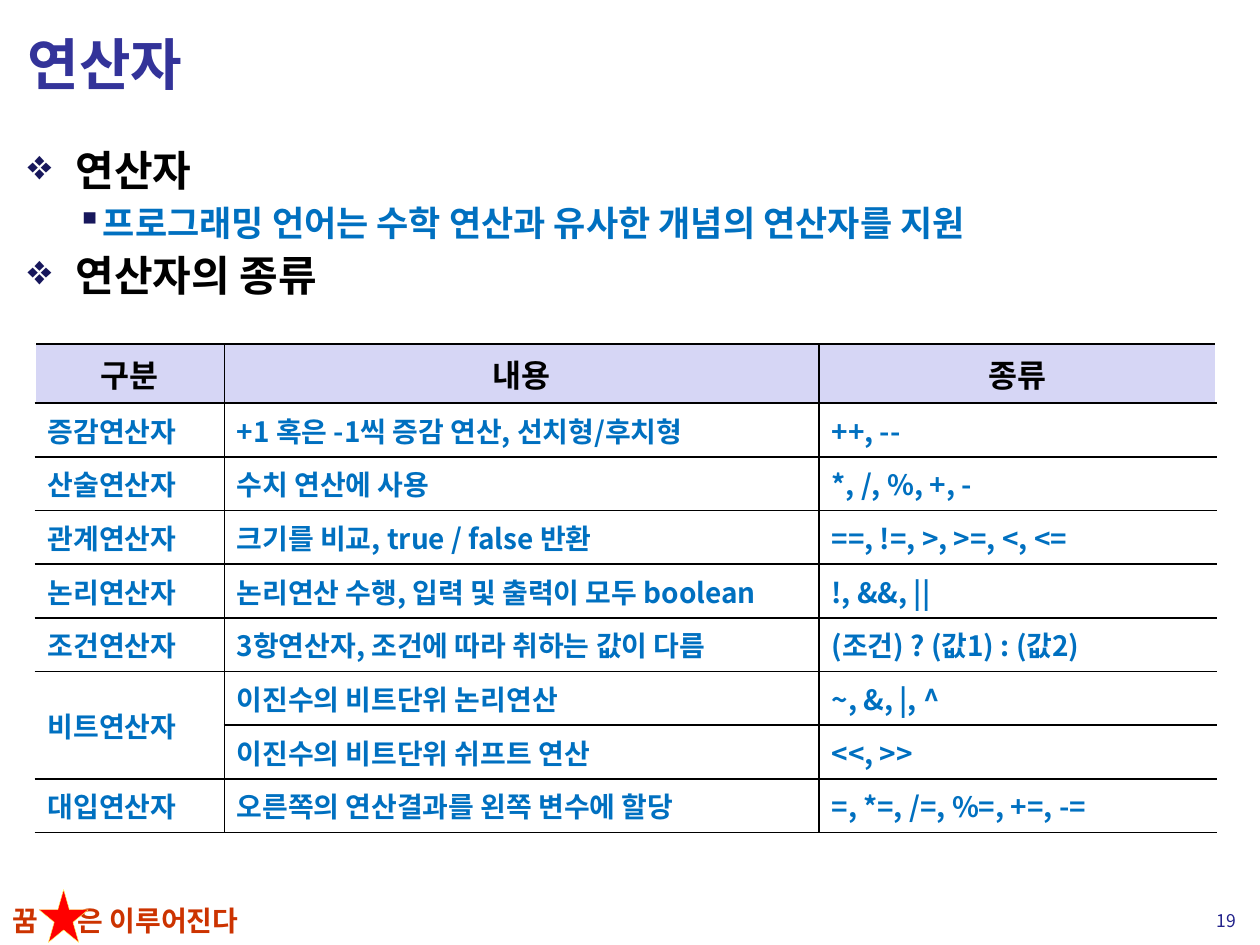
import pptx
import pptx.util
import pptx.dml.color
import pptx.enum.shapes
import pptx.enum.text
import pptx.oxml
import pptx.oxml.ns

Inches, Pt = pptx.util.Inches, pptx.util.Pt
ALIGN = pptx.enum.text.PP_ALIGN
MIDDLE = pptx.enum.text.MSO_ANCHOR.MIDDLE
FONT = "Noto Sans CJK KR"
COLORS = {
    "title": "333399", "black": "000000", "blue": "0070C0", "bullet": "17175C",
    "header": "D6D6F5", "slogan": "CC3300", "star": "FF0000",
    "star_line": "FFFF66", "number": "22228B",
}

# Content
TITLE = "연산자"
OUTLINE = [
    (0, "연산자"),
    (1, "프로그래밍 언어는 수학 연산과 유사한 개념의 연산자를 지원"),
    (0, "연산자의 종류"),
]
# Format by level: bullet, left margin, hanging indent, size, colour
LEVELS = [("❖", 0.38, 0.38, 24, "black"), ("▪", 0.59, 0.2, 20, "blue")]
HEADER = ["구분", "내용", "종류"]
ROWS = [
    ("증감연산자", "+1 혹은 -1씩 증감 연산, 선치형/후치형", "++, --"),
    ("산술연산자", "수치 연산에 사용", "*, /, %, +, -"),
    ("관계연산자", "크기를 비교, true / false 반환", "==, !=, >, >=, <, <="),
    ("논리연산자", "논리연산 수행, 입력 및 출력이 모두 boolean", "!, &&, ||"),
    ("조건연산자", "3항연산자, 조건에 따라 취하는 값이 다름", "(조건) ? (값1) : (값2)"),
    ("비트연산자", "이진수의 비트단위 논리연산", "~, &, |, ^"),
    (None, "이진수의 비트단위 쉬프트 연산", "<<, >>"),  # None joins the cell above
    ("대입연산자", "오른쪽의 연산결과를 왼쪽 변수에 할당", "=, *=, /=, %=, +=, -="),
]
COL_WIDTHS = [1.5, 4.72, 3.15]
TABLE_LEFT, TABLE_TOP, TABLE_HEIGHT, HEADER_HEIGHT = 0.28, 2.73, 3.88, 0.47
SLOGAN = "꿈\t은 이루어진다"
SLIDE_NUMBER = "19"


def rgb(name):
    return pptx.dml.color.RGBColor.from_string(COLORS[name])


def add_xml(parent, xml):
    ns = pptx.oxml.ns.nsdecls("a")
    parent.append(pptx.oxml.parse_xml(xml.replace(" ", f" {ns} ", 1)))


def write(p, text, size=16, color="blue", bold=True, align=ALIGN.LEFT):
    p.alignment = align
    r = p.add_run()
    r.text = text
    r.font.size, r.font.bold, r.font.name = Pt(size), bold, FONT
    r.font.color.rgb = rgb(color)
    add_xml(r.font._element, f'<a:ea typeface="{FONT}"/>')


def add_box(s, left, top, width, height, anchor=None):
    box = s.shapes.add_textbox(*map(Inches, (left, top, width, height)))
    tf = box.text_frame
    tf.word_wrap = True
    if anchor is not None:
        tf.vertical_anchor = anchor
    return tf


def add_outline(s):
    tf = add_box(s, 0.12, 1.1, 9.79, 6.01)
    for i, (level, text) in enumerate(OUTLINE):
        bullet, margin, hang, size, color = LEVELS[level]
        p = tf.add_paragraph() if i else tf.paragraphs[0]
        p.level = level
        if i:
            p.space_before = Pt(3.5)
        pPr = p._p.get_or_add_pPr()
        pPr.set("marL", str(Inches(margin)))
        pPr.set("indent", str(-Inches(hang)))
        add_xml(pPr, f'<a:buClr ><a:srgbClr val="{COLORS["bullet"]}"/></a:buClr>')
        add_xml(pPr, f'<a:buChar char="{bullet}"/>')
        write(p, text, size=size, color=color)


def set_borders(cell, sides):
    for side in sides:
        add_xml(cell._tc.get_or_add_tcPr(),
                f'<a:{side} w="{Pt(1)}"><a:solidFill>'
                f'<a:srgbClr val="{COLORS["black"]}"/></a:solidFill></a:{side}>')


def add_operator_table(s):
    lines = [HEADER] + ROWS
    table = s.shapes.add_table(
        len(lines), len(HEADER), Inches(TABLE_LEFT), Inches(TABLE_TOP),
        Inches(sum(COL_WIDTHS)), Inches(TABLE_HEIGHT)).table
    table.first_row = table.horz_banding = False
    for column, width in zip(table.columns, COL_WIDTHS):
        column.width = Inches(width)
    row_height = (TABLE_HEIGHT - HEADER_HEIGHT) / len(ROWS)
    # The outer left and right edges stay open
    sides = [("lnR", "lnT", "lnB"), ("lnL", "lnR", "lnT", "lnB"), ("lnL", "lnT", "lnB")]
    for i, line in enumerate(lines):
        table.rows[i].height = Inches(row_height if i else HEADER_HEIGHT)
        for j, text in enumerate(line):
            cell = table.cell(i, j)
            cell.vertical_anchor = MIDDLE
            set_borders(cell, sides[j])
            if i == 0:
                cell.fill.solid()
                cell.fill.fore_color.rgb = rgb("header")
            else:
                cell.fill.background()
            p = cell.text_frame.paragraphs[0]
            if text is None:
                table.cell(i - 1, j).merge(cell)
            elif i == 0:
                write(p, text, size=18, color="black", align=ALIGN.CENTER)
            else:
                write(p, text)


def add_footer(s):
    # Slogan with a tab that leaves room for the star
    p = add_box(s, 0, 7.12, 2.48, 0.37).paragraphs[0]
    add_xml(p._p.get_or_add_pPr(),
            f'<a:tabLst ><a:tab pos="{Inches(0.52)}" algn="l"/></a:tabLst>')
    write(p, SLOGAN, color="slogan")
    star = s.shapes.add_shape(pptx.enum.shapes.MSO_SHAPE.STAR_5_POINT,
                              *map(Inches, (0.31, 7.06, 0.39, 0.42)))
    star.shadow.inherit = False
    star.fill.solid()
    star.fill.fore_color.rgb = rgb("star")
    star.line.color.rgb = rgb("star_line")
    star.line.width = Pt(0.25)
    # Slide number
    tf = add_box(s, 9.33, 7.15, 0.58, 0.31, anchor=MIDDLE)
    write(tf.paragraphs[0], SLIDE_NUMBER, size=10, color="number", bold=False,
          align=ALIGN.RIGHT)


def main():
    prs = pptx.Presentation()
    prs.slide_width, prs.slide_height = Inches(10), Inches(7.5)
    s = prs.slides.add_slide(prs.slide_layouts[6])
    add_footer(s)
    tf = add_box(s, 0.12, 0.06, 9.76, 0.88, anchor=MIDDLE)
    write(tf.paragraphs[0], TITLE, size=32, color="title")
    add_outline(s)
    add_operator_table(s)
    prs.save("out.pptx")


if __name__ == "__main__":
    main()
